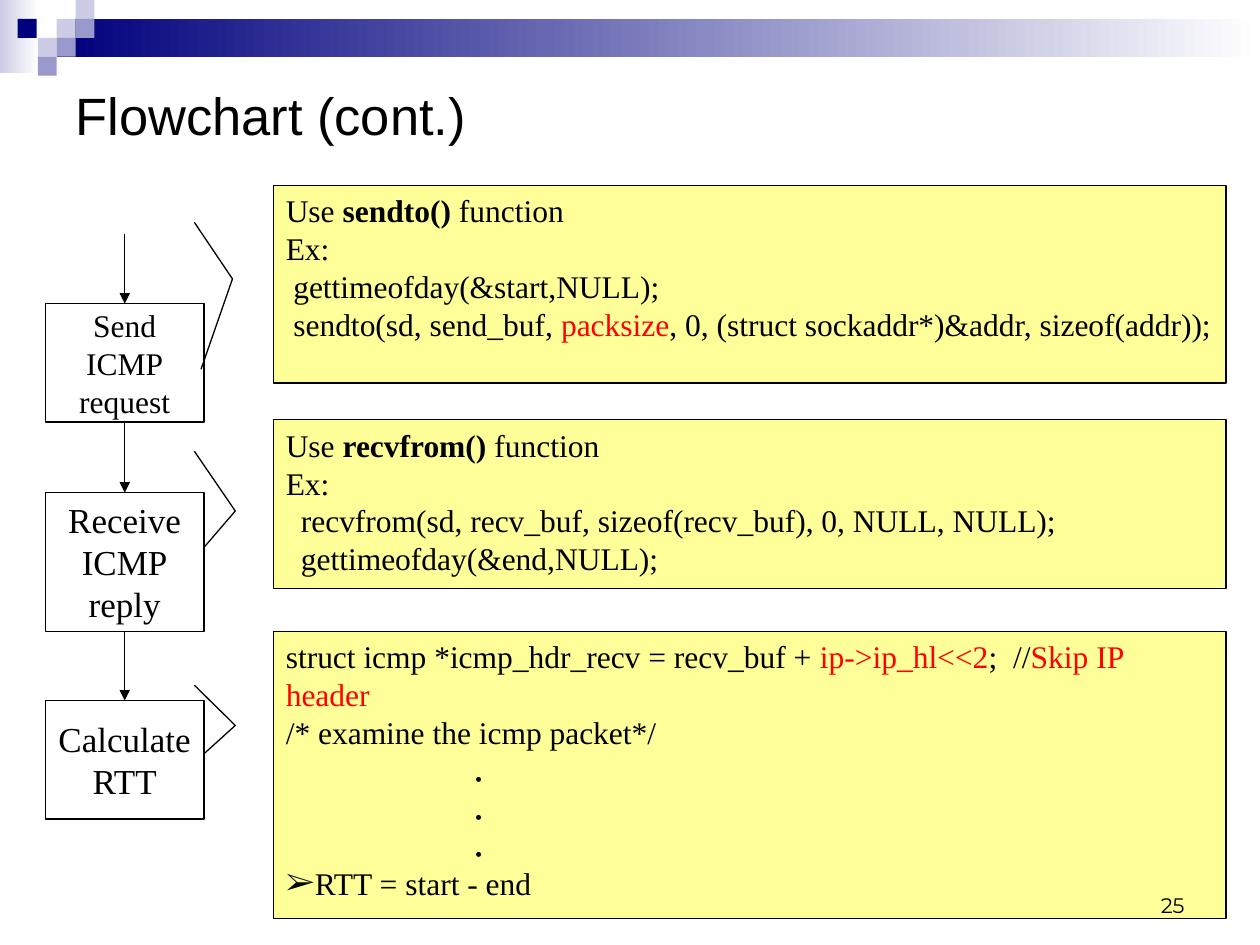
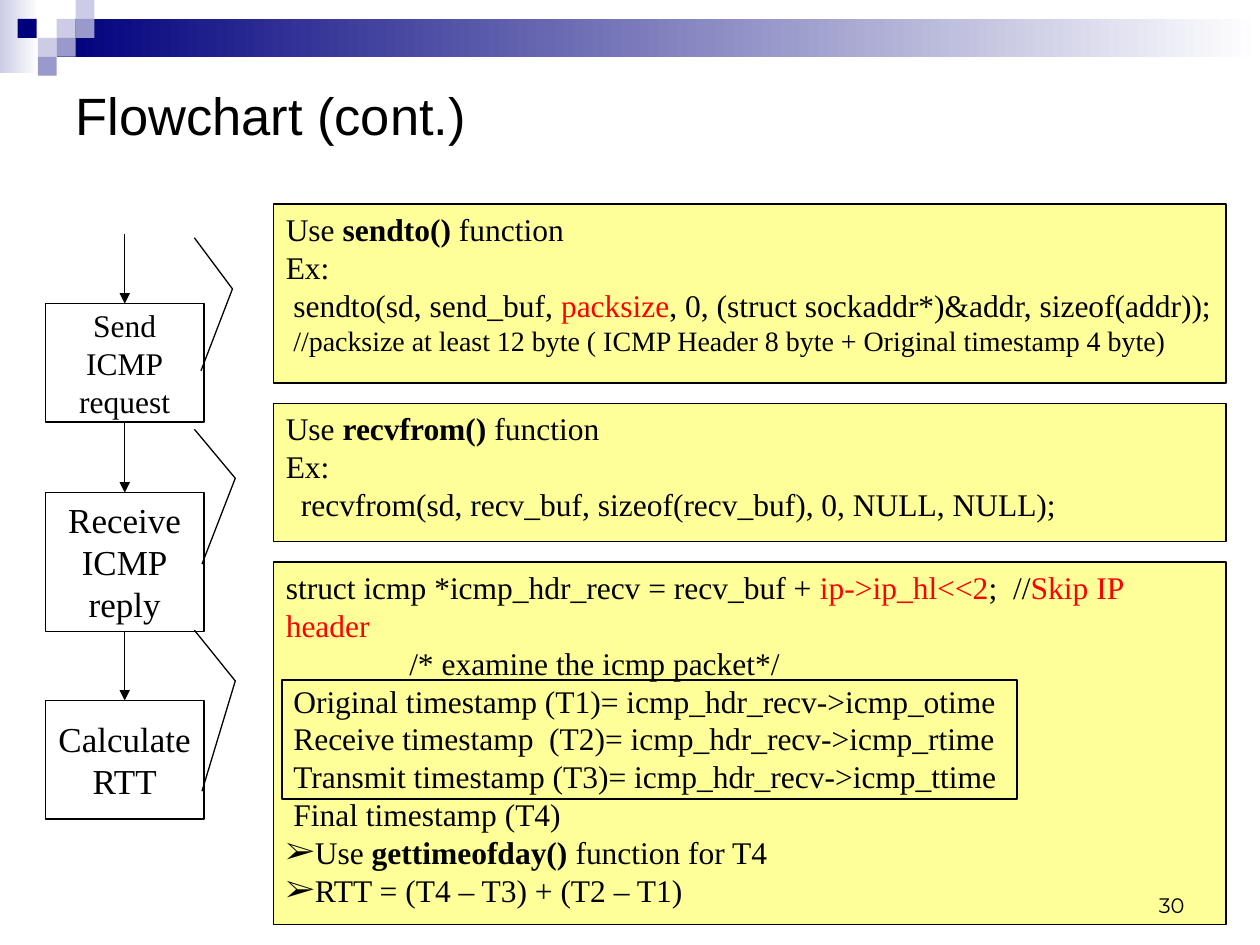
import pptx
import pptx.util
import pptx.dml.color
import pptx.enum.shapes
import pptx.enum.text
import pptx.oxml
import pptx.oxml.ns

Inches, Pt = pptx.util.Inches, pptx.util.Pt
RGBColor = pptx.dml.color.RGBColor
SHAPE = pptx.enum.shapes.MSO_SHAPE
ALIGN = pptx.enum.text.PP_ALIGN
ANCHOR = pptx.enum.text.MSO_ANCHOR

BLACK = RGBColor(0x00, 0x00, 0x00)
WHITE = RGBColor(0xFF, 0xFF, 0xFF)
RED = RGBColor(0xFF, 0x00, 0x00)
YELLOW = RGBColor(0xFF, 0xFF, 0x99)
NAVY = RGBColor(0x00, 0x00, 0x7D)
LAVENDER = RGBColor(0xCC, 0xCC, 0xE6)
VIOLET = RGBColor(0x99, 0x99, 0xCC)
SERIF, SANS, NUMBER_FONT = "Times New Roman", "Arial", "Montserrat"

# Content: a line is (runs, indent, bullet); a run is text or (text, format)
TITLE = "Flowchart (cont.)"
STEPS = [  # lines, top, height, size
    (["Send", "ICMP", "request"], 2.41, 0.94, 18),
    (["Receive", "ICMP", "reply"], 3.91, 1.1, 20),
    (["Calculate", "RTT"], 5.56, 0.94, 20),
]
SPACE, TAB, BULLET = 0.06, 0.49, 0.23
BOLD, HOT, SMALL = {"bold": True}, {"color": RED}, {"size": 16}


def line(*runs, indent=0, bullet=False):
    return runs, indent, bullet


def use(function):
    return [line("Use ", (function, BOLD), " function"), line("Ex:")]


SENDTO = line("sendto(sd, send_buf, ", ("packsize", HOT),
              ", 0, (struct sockaddr*)&addr, sizeof(addr));", indent=SPACE)
RECVFROM = line("recvfrom(sd, recv_buf, sizeof(recv_buf), 0, NULL, NULL);",
                indent=2 * SPACE)
SKIP_HEADER = line("struct icmp *icmp_hdr_recv = recv_buf + ",
                   ("ip->ip_hl<<2", HOT), ";  //", ("Skip IP header", HOT))
EXAMINE = "/* examine the icmp packet*/"

SLIDES = [
    {"number": "25", "notes": [  # top, height, leader end (y, x), lines
        (1.47, 1.57, (0.931, -0.076), use("sendto()") + [
            line("gettimeofday(&start,NULL);", indent=SPACE), SENDTO]),
        (3.33, 1.34, (0.758, -0.073), use("recvfrom()") + [
            RECVFROM, line("gettimeofday(&end,NULL);", indent=2 * SPACE)]),
        (5.01, 2.28, (0.427, -0.073), [SKIP_HEADER, line(EXAMINE)]
         + [line("．", indent=3 * TAB)] * 3
         + [line("RTT = start - end", bullet=True)]),
    ]},
    {"number": "30", "frame": (2.24, 5.4, 5.83, 0.94), "notes": [
        (1.62, 1.42, (0.931, -0.076), use("sendto()") + [
            SENDTO,
            line(("//packsize at least 12 byte ( ICMP Header 8 byte + "
                  "Original timestamp 4 byte)", SMALL), indent=SPACE)]),
        (3.2, 1.1, (1.162, -0.075), use("recvfrom()") + [RECVFROM]),
        (4.46, 2.88, (0.632, -0.075), [
            SKIP_HEADER,
            line(EXAMINE, indent=2 * TAB),
            line("Original timestamp (T1)= icmp_hdr_recv->icmp_otime", indent=SPACE),
            line("Receive timestamp  (T2)= icmp_hdr_recv->icmp_rtime", indent=SPACE),
            line("Transmit timestamp (T3)= icmp_hdr_recv->icmp_ttime", indent=SPACE),
            line("Final timestamp (T4)", indent=SPACE),
            line("Use ", ("gettimeofday()", BOLD), " function for T4", bullet=True),
            line("RTT = (T4 – T3) + (T2 – T1)", bullet=True)]),
    ]},
]

# Layout
STEP_X, STEP_W = 0.36, 1.26
FIRST_ARROW_TOP = 1.86
NOTE_X, NOTE_W = 2.17, 7.56
NOTE_LEADERS = [(0.188, -0.083, 0.474, -0.043),
                (0.188, -0.083, 0.542, -0.04),
                (0.188, -0.083, 0.328, -0.04)]
TILE = 0.15
TILES = [(0.45, 0.15, LAVENDER), (0.6, 0, LAVENDER), (0.6, 0.15, VIOLET),
         (0.3, 0.3, LAVENDER), (0.14, 0.15, NAVY), (0.45, 0.3, VIOLET),
         (0.3, 0.45, VIOLET)]
FADES = [(0, 0, 0.31, 0.58, LAVENDER), (0.45, 0.15, 9.55, 0.3, NAVY)]


def add_xml(parent, xml):
    ns = pptx.oxml.ns.nsdecls("a")
    parent.append(pptx.oxml.parse_xml(xml.replace("/>", f" {ns}/>", 1)))


def write(sp, lines, size=18, font=SERIF, align=ALIGN.LEFT,
          anchor=ANCHOR.TOP, wrap=True):
    tf = sp.text_frame
    tf.word_wrap, tf.vertical_anchor = wrap, anchor
    for i, (runs, indent, bullet) in enumerate(lines):
        p = tf.add_paragraph() if i else tf.paragraphs[0]
        p.alignment = align
        ppr = p._p.get_or_add_pPr()
        if bullet:
            ppr.set("marL", str(Inches(BULLET)))
            ppr.set("indent", str(-Inches(BULLET)))
            add_xml(ppr, '<a:buFont typeface="Times New Roman"/>')
            add_xml(ppr, '<a:buChar char="➢"/>')
        elif indent:
            ppr.set("marL", str(Inches(indent)))
            ppr.set("indent", "0")
        for run in runs:
            text, fmt = (run, {}) if isinstance(run, str) else run
            r = p.add_run()
            r.text = text
            r.font.name = font
            r.font.size = Pt(fmt.get("size", size))
            r.font.bold = fmt.get("bold", False)
            r.font.color.rgb = fmt.get("color", BLACK)


def add_box(s, kind, x, y, w, h, fill=None, border=None):
    sp = s.shapes.add_shape(kind, Inches(x), Inches(y), Inches(w), Inches(h))
    sp.shadow.inherit = False
    if fill is None:
        sp.fill.background()
    else:
        sp.fill.solid()
        sp.fill.fore_color.rgb = fill
    if border is None:
        sp.line.fill.background()
    else:
        sp.line.color.rgb = BLACK
        sp.line.width = Pt(border)
    return sp


def add_text(s, text, x, y, w, h, **fmt):
    sp = s.shapes.add_textbox(Inches(x), Inches(y), Inches(w), Inches(h))
    write(sp, [line(text)], **fmt)


def add_header(s):
    for x, y, w, h, color in FADES:
        sp = add_box(s, SHAPE.RECTANGLE, x, y, w, h, WHITE)
        sp.fill.gradient()
        sp.fill.gradient_angle = 0
        for stop, rgb in zip(sp.fill.gradient_stops, (color, WHITE)):
            stop.color.rgb = rgb
    for x, y, color in TILES:
        add_box(s, SHAPE.RECTANGLE, x, y, TILE, TILE, color)
    add_text(s, TITLE, 0.5, 0.5, 9, 0.81, size=30, font=SANS,
             anchor=ANCHOR.MIDDLE)


def add_flow(s):
    above = None
    for labels, top, height, size in STEPS:
        sp = add_box(s, SHAPE.FLOWCHART_PROCESS, STEP_X, top, STEP_W, height,
                     WHITE, 0.75)
        write(sp, [line(label) for label in labels], size=size,
              align=ALIGN.CENTER, anchor=ANCHOR.MIDDLE, wrap=False)
        mid = Inches(STEP_X + STEP_W / 2)
        arrow = s.shapes.add_connector(
            pptx.enum.shapes.MSO_CONNECTOR.STRAIGHT,
            mid, Inches(FIRST_ARROW_TOP), mid, Inches(top))
        if above is not None:
            arrow.begin_connect(above, 2)
        arrow.end_connect(sp, 0)
        arrow.line.color.rgb = BLACK
        arrow.line.width = Pt(0.75)
        add_xml(arrow.line._get_or_add_ln(), '<a:tailEnd type="triangle"/>')
        add_xml(arrow._element.spPr, "<a:effectLst/>")
        above = sp


def add_notes(s, notes):
    for (top, height, end, lines), leader in zip(notes, NOTE_LEADERS):
        sp = add_box(s, SHAPE.LINE_CALLOUT_2, NOTE_X, top, NOTE_W, height,
                     YELLOW, 0.75)
        for i, value in enumerate(leader + end):
            sp.adjustments[i] = value
        write(sp, lines)


def main():
    prs = pptx.Presentation()
    prs.slide_width, prs.slide_height = Inches(10), Inches(7.5)
    for content in SLIDES:
        s = prs.slides.add_slide(prs.slide_layouts[6])
        add_header(s)
        add_flow(s)
        add_notes(s, content["notes"])
        add_text(s, content["number"], 7.17, 6.83, 2.33, 0.5, size=12,
                 font=NUMBER_FONT, align=ALIGN.RIGHT, anchor=ANCHOR.BOTTOM)
        if "frame" in content:
            add_box(s, SHAPE.RECTANGLE, *content["frame"], border=1)
    prs.save("out.pptx")


if __name__ == "__main__":
    main()
